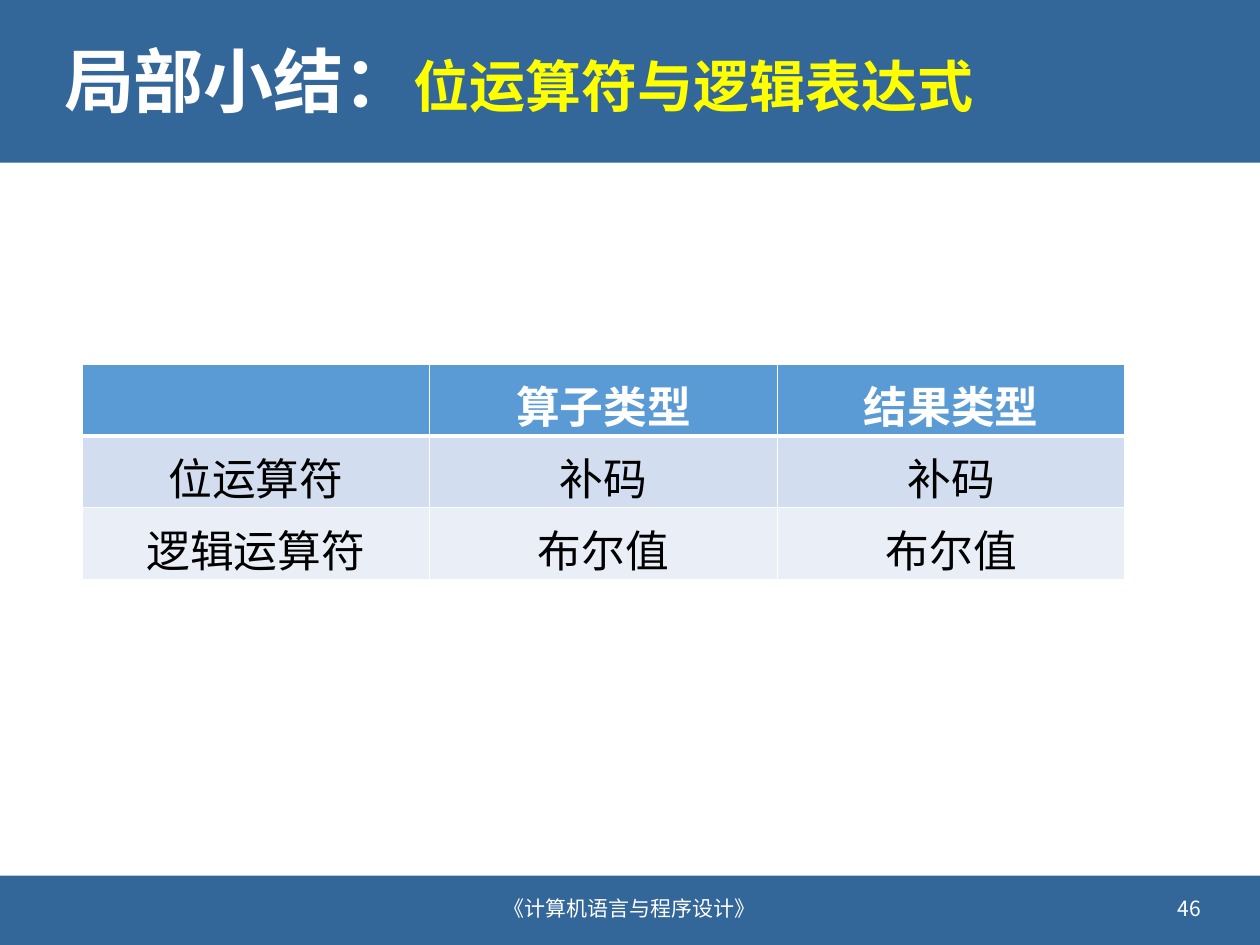
import pptx
import pptx.dml.color
import pptx.enum.shapes
import pptx.enum.text
import pptx.oxml
import pptx.oxml.ns
import pptx.util

Inches = pptx.util.Inches
Pt = pptx.util.Pt
RGBColor = pptx.dml.color.RGBColor
Align = pptx.enum.text.PP_ALIGN
Anchor = pptx.enum.text.MSO_ANCHOR

BAND_BLUE = RGBColor(0x33, 0x66, 0x99)
HEADER_BLUE = RGBColor(0x5B, 0x9B, 0xD5)
ROW_FILLS = [HEADER_BLUE, RGBColor(0xD2, 0xDE, 0xEF), RGBColor(0xEA, 0xEF, 0xF7)]
WHITE = RGBColor(0xFF, 0xFF, 0xFF)
YELLOW = RGBColor(0xFF, 0xFF, 0x00)
BLACK = RGBColor(0, 0, 0)


class SlideBuilder:
    font_name = "Noto Sans CJK SC"

    def __init__(self, slide):
        self.slide = slide

    def style_run(self, run, size, color, bold=False):
        run.font.size = Pt(size)
        run.font.bold = bold
        run.font.color.rgb = color
        run.font.name = self.font_name
        east_asian = pptx.oxml.parse_xml(
            f'<a:ea {pptx.oxml.ns.nsdecls("a")} typeface="{self.font_name}"/>')
        run.font._element.append(east_asian)

    def band(self, top, height):
        shape = self.slide.shapes.add_shape(
            pptx.enum.shapes.MSO_SHAPE.RECTANGLE, 0, Inches(top), Inches(10), Inches(height))
        shape.shadow.inherit = False
        shape.fill.solid()
        shape.fill.fore_color.rgb = BAND_BLUE
        shape.line.fill.background()

    def text(self, left, top, width, height, runs, align=Align.LEFT, spacing=1.0):
        box = self.slide.shapes.add_textbox(
            Inches(left), Inches(top), Inches(width), Inches(height))
        text_frame = box.text_frame
        text_frame.word_wrap = True
        text_frame.vertical_anchor = Anchor.MIDDLE
        paragraph = text_frame.paragraphs[0]
        paragraph.alignment = align
        paragraph.line_spacing = spacing
        for content, size, color, bold in runs:
            run = paragraph.add_run()
            run.text = content
            self.style_run(run, size, color, bold)

    def border(self, cell, widths):
        properties = cell._tc.get_or_add_tcPr()
        for index, (side, width) in enumerate(zip("LRTB", widths)):
            line = pptx.oxml.parse_xml(
                f'<a:ln{side} {pptx.oxml.ns.nsdecls("a")} w="{Pt(width)}"><a:solidFill>'
                f'<a:srgbClr val="{WHITE}"/></a:solidFill></a:ln{side}>')
            properties.insert(index, line)

    def table(self, left, top, column_width, row_height, rows):
        row_count, column_count = len(rows), len(rows[0])
        table = self.slide.shapes.add_table(
            row_count, column_count, Inches(left), Inches(top),
            Inches(column_width * column_count), Inches(row_height * row_count)).table
        for row_index, values in enumerate(rows):
            is_header = row_index == 0
            for column_index, value in enumerate(values):
                cell = table.cell(row_index, column_index)
                cell.margin_left = cell.margin_right = Inches(0.14)
                cell.margin_top = cell.margin_bottom = Inches(0.07)
                cell.fill.solid()
                cell.fill.fore_color.rgb = ROW_FILLS[row_index]
                self.border(cell, (1, 1, 3 if row_index == 1 else 1, 3 if is_header else 1))
                cell.text_frame.text = value
                paragraph = cell.text_frame.paragraphs[0]
                paragraph.alignment = Align.CENTER
                for run in paragraph.runs:
                    self.style_run(run, 25, WHITE if is_header else BLACK, is_header)


def main():
    presentation = pptx.Presentation()
    presentation.slide_width = Inches(10)
    presentation.slide_height = Inches(7.5)
    builder = SlideBuilder(presentation.slides.add_slide(presentation.slide_layouts[6]))

    builder.band(0, 1.29)
    builder.band(6.95, 0.55)
    builder.text(0.41, 0.18, 9.19, 0.99, [
        ("局部小结：", 40, WHITE, True),
        ("位运算符与逻辑表达式", 32, YELLOW, True),
    ], spacing=0.9)
    builder.text(3.2, 7.01, 3.6, 0.4,
                 [("《计算机语言与程序设计》", 12, WHITE, False)], Align.CENTER)
    builder.text(7.23, 7.01, 2.4, 0.4, [("46", 12, WHITE, False)], Align.RIGHT)
    builder.table(0.65, 2.89, 2.76, 0.57, [
        ["", "算子类型", "结果类型"],
        ["位运算符", "补码", "补码"],
        ["逻辑运算符", "布尔值", "布尔值"],
    ])
    presentation.save("out.pptx")


if __name__ == "__main__":
    main()
